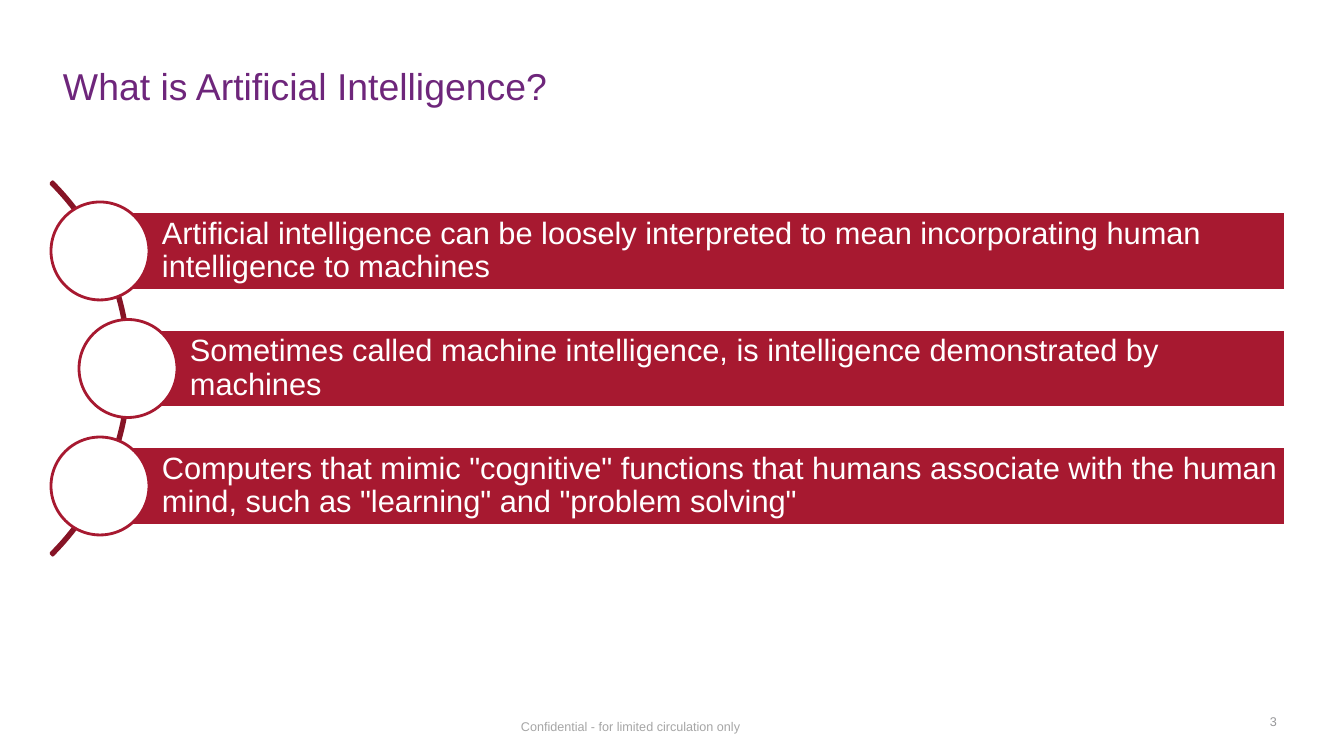
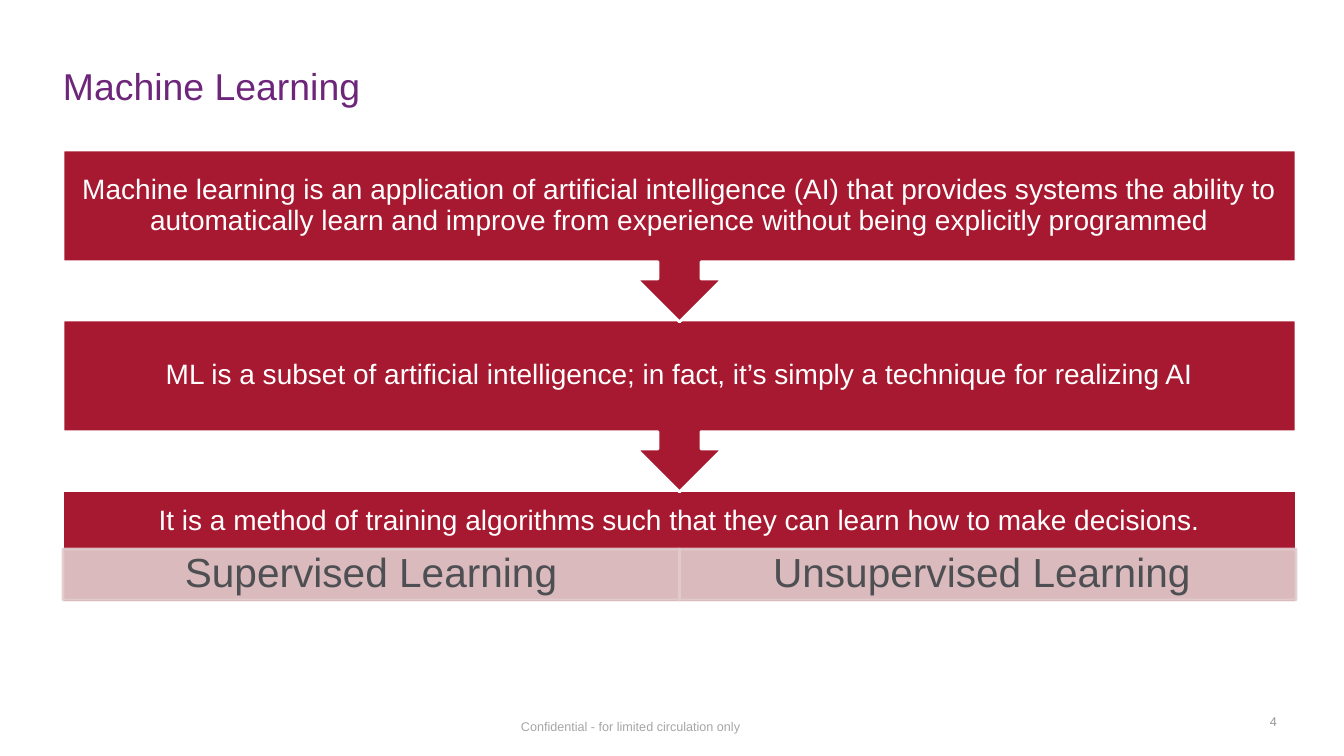
import pptx
import pptx.util
import pptx.dml.color
import pptx.enum.shapes
import pptx.enum.text
import pptx.oxml.ns
import lxml.etree

SCALE = 914400 / 100.8  # EMU in one pixel
WIDE, HIGH = 1344, 756
FONT = "Arial"
HUES = {
    "title": "6E267B", "foot": "A6A6A6", "page": "979799",
    "red": "A71930", "dark": "861426", "pink": "E1CCCD",
    "gray": "4D4F53", "white": "FFFFFF",
}
KIND = pptx.enum.shapes.MSO_SHAPE
SIDE = pptx.enum.text.PP_ALIGN
MID = pptx.enum.text.MSO_ANCHOR.MIDDLE


def px(num):
    return pptx.util.Emu(round(num * SCALE))


def rgb(hue):
    return pptx.dml.color.RGBColor.from_string(HUES[hue])


def fade(part, share):
    """Give the solid colour inside an XML part an opacity in percent."""
    tone = next(part.iter(pptx.oxml.ns.qn("a:srgbClr")))
    lxml.etree.SubElement(tone, pptx.oxml.ns.qn("a:alpha"), val=str(share * 1000))


def write(shape, text, size, hue, pads, side=SIDE.LEFT, space=None, wrap=True, anchor=MID):
    """Fill a shape with one paragraph; pads are left, top, right, bottom."""
    frame = shape.text_frame
    frame.word_wrap = wrap
    frame.vertical_anchor = anchor
    (frame.margin_left, frame.margin_top,
     frame.margin_right, frame.margin_bottom) = map(px, pads)
    para = frame.paragraphs[0]
    para.alignment = side
    if space:
        para.line_spacing = space
    run = para.add_run()
    run.text = text
    run.font.name = FONT
    run.font.size = pptx.util.Pt(size)
    run.font.color.rgb = rgb(hue)


def label(slide, box, *args, **opts):
    write(slide.shapes.add_textbox(*map(px, box)), *args, **opts)


def block(slide, kind, box, fill, line):
    """Draw a preset shape with a two-point outline."""
    shape = slide.shapes.add_shape(kind, *map(px, box))
    shape.shadow.inherit = False
    if fill:
        shape.fill.solid()
        shape.fill.fore_color.rgb = rgb(fill)
    else:
        shape.fill.background()
    shape.line.color.rgb = rgb(line)
    shape.line.width = pptx.util.Pt(2)
    return shape


# Title, footer and page number shared by all slides
def base(deck, title, page):
    slide = deck.slides.add_slide(deck.slide_layouts[6])
    label(slide, (511, 714, 242, 25), "Confidential - for limited circulation only",
          9, "foot", (10, 5, 10, 5), wrap=False, anchor=pptx.enum.text.MSO_ANCHOR.TOP)
    label(slide, (63, 50, 1210, 71), title, 26.7, "title", (0, 5, 0, 5))
    label(slide, (964, 702, 313, 40), str(page), 9, "page", (0, 5, 0, 5), SIDE.RIGHT)
    return slide


# Bars strung along a curve, each with a round marker
def curve(slide, box, items):
    left, top, width, height = box
    ring, disc, bar, step, bulge = 528, 98, 78, 117.5, 28
    mid = top + height / 2

    arc = block(slide, KIND.BLOCK_ARC,
                (left + 79 - ring, mid - ring / 2, ring, ring), None, "dark")
    for spot, turn in enumerate((189, 27, 0.005)):
        arc.adjustments[spot] = turn

    for row, text in enumerate(items):
        off = row - (len(items) - 1) / 2
        hub = left + disc / 2 + (0 if off else bulge)
        line = mid + off * step
        band = block(slide, KIND.RECTANGLE,
                     (hub, line - bar / 2, left + width - hub, bar), "red", "white")
        write(band, text, 22, "white", (62, 6, 6, 6), space=0.9)
        block(slide, KIND.OVAL, (hub - disc / 2, line - disc / 2, disc, disc),
              "white", "red")


# Steps joined by arrows, the last one split into parts
def steps(slide, box, items, parts):
    left, top, width, height = box
    pitch, tall, body, head, cell = 170, 172, 112, 60, 51
    last = top + pitch * (len(items) - 1) + 1

    # Closing step
    end = block(slide, KIND.RECTANGLE, (left, last, width, body), "red", "white")
    write(end, items[-1], 20, "white", (16, 8, 16, body - head + 8),
          SIDE.CENTER, 0.9)

    # Its parts
    share = width / len(parts)
    for col, text in enumerate(parts):
        part = block(slide, KIND.RECTANGLE,
                     (left + col * share, last + 58, share, cell), "pink", "pink")
        fade(part.fill._xPr.find(pptx.oxml.ns.qn("a:solidFill")), 90)
        fade(part.line._get_or_add_ln(), 90)
        write(part, text, 29, "gray", (23, 4, 23, 4), SIDE.CENTER, 0.9)

    # Steps that lead down, the lower one behind
    for row in reversed(range(len(items) - 1)):
        step = block(slide, KIND.DOWN_ARROW_CALLOUT,
                     (left, top + row * pitch, width, tall), "red", "white")
        write(step, items[row], 20, "white", (16, 16, 16, 16), SIDE.CENTER, 0.9)


deck = pptx.Presentation()
deck.slide_width, deck.slide_height = px(WIDE), px(HIGH)

curve(base(deck, "What is Artificial Intelligence?", 3), (51, 183, 1234, 371), [
    "Artificial intelligence can be loosely interpreted to mean incorporating "
    "human intelligence to machines",
    "Sometimes called machine intelligence, is intelligence demonstrated by machines",
    "Computers that mimic \"cognitive\" functions that humans associate with the "
    "human mind, such as \"learning\" and \"problem solving\"",
])

steps(base(deck, "Machine Learning", 4), (63, 150, 1233, 453), [
    "Machine learning is an application of artificial intelligence (AI) that "
    "provides systems the ability to automatically learn and improve from "
    "experience without being explicitly programmed",
    "ML is a subset of artificial intelligence; in fact, it’s simply a technique "
    "for realizing AI",
    "It is a method of training algorithms such that they can learn how to make "
    "decisions.",
], ["Supervised Learning", "Unsupervised Learning "])

deck.save("out.pptx")
